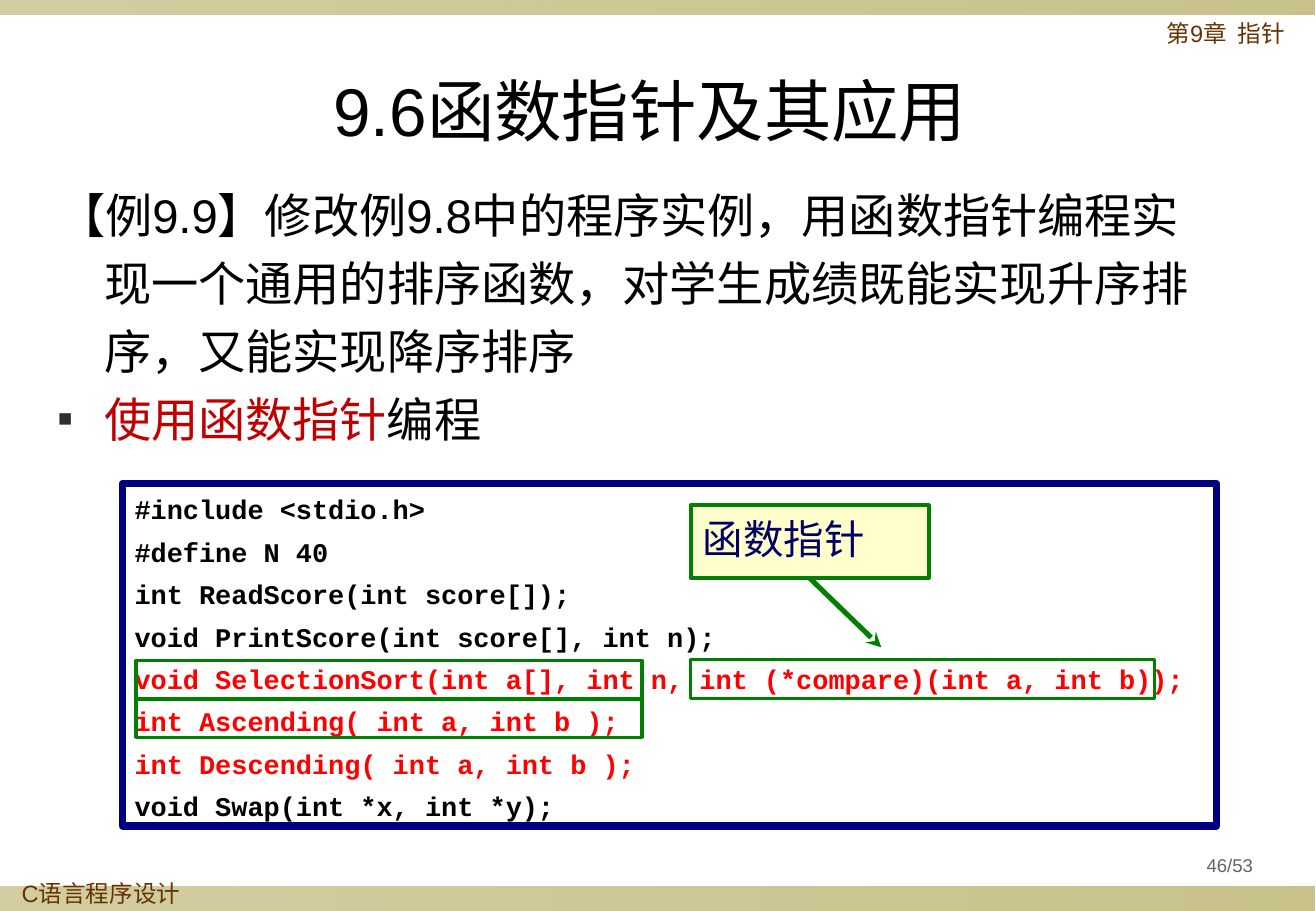
"""Build the slide on function pointers and their use."""
from dataclasses import dataclass

from lxml import etree
from pptx import Presentation
from pptx import util as u
from pptx.dml import color
from pptx.enum import shapes, text
from pptx.oxml import ns

SCALE = 9144
SANS, CJK, MONO = "Arial", "Noto Sans CJK SC", "Courier New"
BLACK, RED, GREEN, BROWN = "000000", "FF0000", "008000", "663300"
LEFT, MID = text.PP_ALIGN.LEFT, text.PP_ALIGN.CENTER
TOP, HALF = text.MSO_ANCHOR.TOP, text.MSO_ANCHOR.MIDDLE


@dataclass
class Box:
    """A rectangle in px."""
    x: int
    y: int
    w: int
    h: int

    def emu(self) -> list:
        """Return the four lengths in EMU."""
        return [u.Emu(n * SCALE) for n in (self.x, self.y, self.w, self.h)]


@dataclass
class Run:
    """A stretch of text in one colour and font."""
    words: str
    hue: str = BLACK
    face: str = SANS


def paint(code: str) -> color.RGBColor:
    """Turn a hex string into a colour."""
    return color.RGBColor.from_string(code)


def tag(owner, name: str, **attrs: str):
    """Append a drawing element."""
    node = etree.SubElement(owner, ns.qn(name))
    for key, value in attrs.items():
        node.set(key, value)
    return node


def put(shape, paras: list, *, size: float, bold: bool = False, align=LEFT,
        anchor=TOP, line=None, gap: float = 0, after: float = 0,
        pad: tuple = (10, 5, 10, 5), hang: int = 0, marks: tuple = (),
        wrap: bool = True) -> None:
    """Write paragraphs of runs into a shape."""
    frame = shape.text_frame
    frame.word_wrap, frame.vertical_anchor = wrap, anchor
    frame.margin_left, frame.margin_top, frame.margin_right, frame.margin_bottom = (
        u.Emu(n * SCALE) for n in pad)
    for i, runs in enumerate(paras):
        para = frame.paragraphs[0] if i == 0 else frame.add_paragraph()
        props = para._p.get_or_add_pPr()
        if hang:
            props.set("marL", str(hang * SCALE))
            props.set("indent", str(-hang * SCALE))
        if i in marks:
            tag(tag(props, "a:buClr"), "a:srgbClr", val="2F2F2F")
            tag(props, "a:buSzPct", val="50000")
            tag(props, "a:buFont", typeface=SANS)
            tag(props, "a:buChar", char="■")
        para.alignment = align
        if line:
            para.line_spacing = line
        if gap and i:
            para.space_before = u.Pt(gap)
        if after:
            para.space_after = u.Pt(after)
        for run in runs:
            part = para.add_run()
            part.text = run.words
            font = part.font
            font.name, font.size, font.bold = run.face, u.Pt(size), bold
            font.color.rgb = paint(run.hue)
            tag(part._r.get_or_add_rPr(), "a:ea", typeface=CJK)


def rect(slide, box: Box, fill: str = "", edge: str = "", width: float = 0):
    """Draw a rectangle."""
    shape = slide.shapes.add_shape(shapes.MSO_SHAPE.RECTANGLE, *box.emu())
    shape.shadow.inherit = False
    if fill:
        shape.fill.solid()
        shape.fill.fore_color.rgb = paint(fill)
    else:
        shape.fill.background()
    if edge:
        shape.line.color.rgb = paint(edge)
        shape.line.width = u.Pt(width)
    else:
        shape.line.fill.background()
    return shape


def band(slide, box: Box) -> None:
    """Draw a strip that fades from left to right."""
    shape = rect(slide, box)
    shape.fill.gradient()
    shape.fill.gradient_angle = 0
    for stop, place in zip(shape.fill.gradient_stops, (0, 1)):
        stop.position = place
        stop.color.rgb = paint("918415")
    for node, alpha in zip(shape._element.spPr.iter(ns.qn("a:srgbClr")), ("40000", "50000")):
        tag(node, "a:alpha", val=alpha)


def label(slide, box: Box, paras: list, **form) -> None:
    """Add a text box."""
    put(slide.shapes.add_textbox(*box.emu()), paras, **form)


def arrow(slide, start, x: int, y: int) -> None:
    """Draw an arrow from the bottom of a shape to a point."""
    end = u.Emu(x * SCALE), u.Emu(y * SCALE)
    link = slide.shapes.add_connector(shapes.MSO_CONNECTOR.STRAIGHT, *end, *end)
    link.begin_connect(start, 2)
    link.line.color.rgb = paint(GREEN)
    link.line.width = u.Pt(3)
    tag(link.line._get_or_add_ln(), "a:tailEnd", type="stealth")
    tag(link._element.spPr, "a:effectLst")


CODE = [
    Run("#include <stdio.h>", BLACK, MONO),
    Run("#define N 40", BLACK, MONO),
    Run("int ReadScore(int score[]);", BLACK, MONO),
    Run("void PrintScore(int score[], int n);", BLACK, MONO),
    Run("void SelectionSort(int a[], int n, int (*compare)(int a, int b));", RED, MONO),
    Run("int Ascending( int a, int b );", RED, MONO),
    Run("int Descending( int a, int b );", RED, MONO),
    Run("void Swap(int *x, int *y);", BLACK, MONO),
]
BODY = [
    [Run("【", face=CJK),
     Run("例9.9】修改例9.8中的程序实例，用函数指针编程实现一个通用的排序函数，"
         "对学生成绩既能实现升序排序，又能实现降序"),
     Run("排序", face=CJK)],
    [Run("使用函数指针", "C00000", CJK), Run("编程", face=CJK)],
]
FRAMES = [Box(569, 543, 382, 32), Box(112, 544, 417, 32), Box(112, 575, 417, 32)]


def main() -> None:
    """Draw the slide and save it."""
    deck = Presentation()
    deck.slide_width, deck.slide_height = u.Emu(1084 * SCALE), u.Emu(750 * SCALE)
    slide = deck.slides.add_slide(deck.slide_layouts[6])

    for box in (Box(0, 730, 1083, 20), Box(0, 0, 1083, 12)):
        band(slide, box)
    label(slide, Box(8, 721, 156, 32), [[Run("C语言程序设计", BROWN)]],
          size=14, line=0.9, wrap=False)
    label(slide, Box(951, 13, 126, 39), [[Run("第9章  指针", BROWN)]], size=14, line=0.9)

    panel = rect(slide, Box(101, 398, 901, 282), "FFFFFF", "000080", 4.5)
    put(panel, [[run] for run in CODE], size=16, bold=True, line=u.Pt(19.1), gap=6,
        pad=(10, 8, 10, 5))
    label(slide, Box(38, 139, 964, 268), BODY, size=28, line=u.Pt(40.3), hang=38, marks=(1,))

    note = rect(slide, Box(569, 416, 196, 60), "FFFFCC", GREEN, 2.25)
    put(note, [[Run("函数指针", "000066", CJK)]], size=24, anchor=HALF, line=0.9, after=5.9)
    arrow(slide, note, 726, 533)

    label(slide, Box(25, 44, 1033, 92), [[Run("9.6函数指针及其应用 ")]],
          size=40, align=MID, anchor=HALF)
    for box in FRAMES:
        rect(slide, box, edge=GREEN, width=2)
    label(slide, Box(959, 698, 108, 31), [[Run("46/53", "636363")]], size=11,
          align=MID, anchor=HALF, line=0.9, after=5.9, pad=(5, 5, 5, 5))
    deck.save("out.pptx")


if __name__ == "__main__":
    main()
